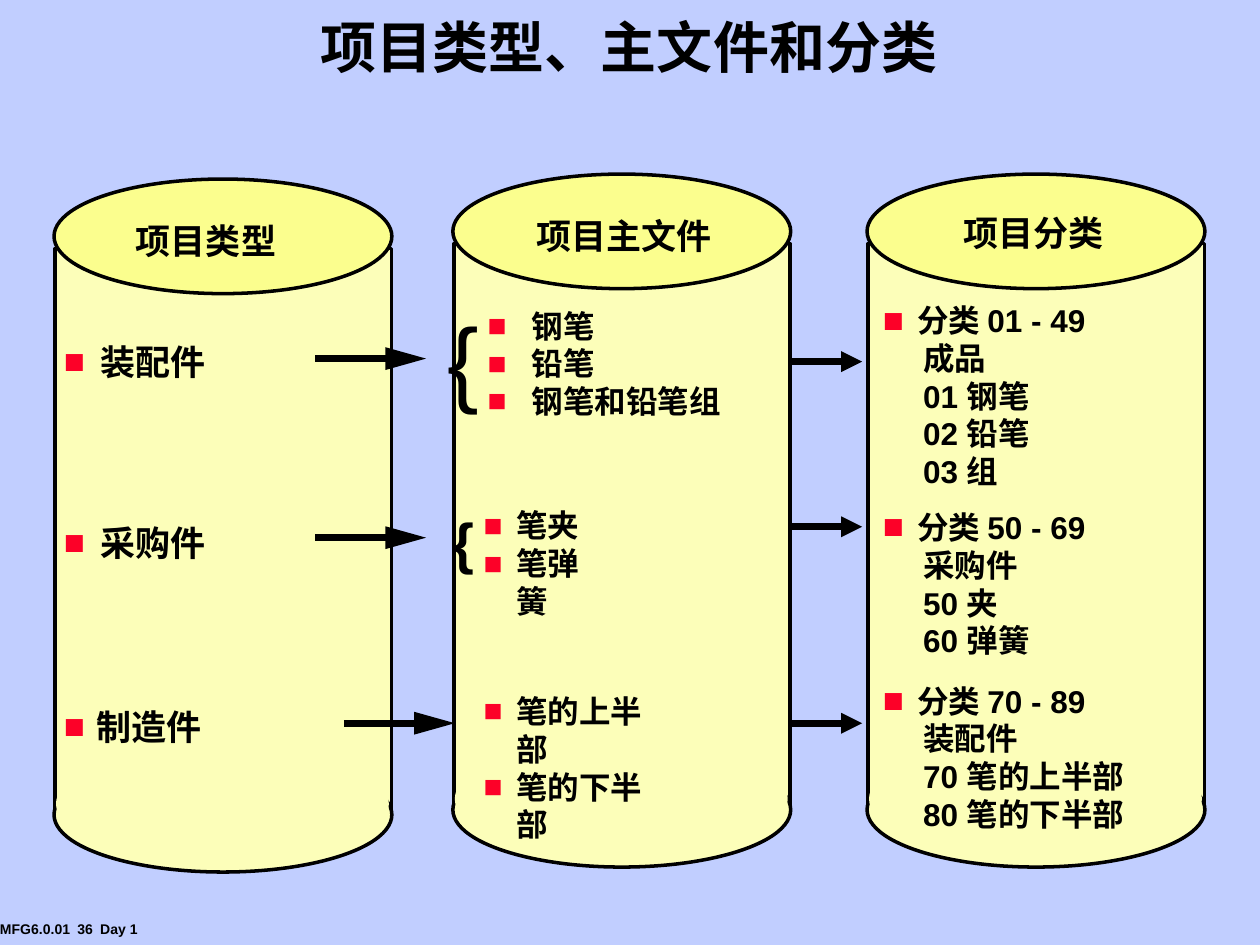
from lxml import etree
from pptx import Presentation
from pptx.dml.color import RGBColor
from pptx.enum import shapes, text
from pptx.oxml import ns
from pptx.util import Cm, Pt

BACKGROUND = RGBColor(0xC1, 0xCE, 0xFF)
BODY = RGBColor(0xFC, 0xFE, 0xB9)
LID = RGBColor(0xFB, 0xFE, 0x8E)
RED = RGBColor(0xFC, 0x01, 0x28)
BLACK = RGBColor(0, 0, 0)

deck = Presentation()
deck.slide_width, deck.slide_height = Cm(25.4), Cm(19.05)
page = deck.slides.add_slide(deck.slide_layouts[6])
page.background.fill.solid()
page.background.fill.fore_color.rgb = BACKGROUND


def add_text(content, left, top, width, height, *, size=18, bold=True,
             align=text.PP_ALIGN.LEFT, anchor=text.MSO_ANCHOR.TOP, spacing=None,
             inset=0.25, bullets=0, bullet_size=100, indent=0, rest_indent=0, tabs=()):
    """Give each line a paragraph; the first `bullets` lines get a red square."""
    box = page.shapes.add_textbox(Cm(left), Cm(top), Cm(width), Cm(height))
    frame = box.text_frame
    frame.word_wrap = True
    frame.vertical_anchor = anchor
    frame.margin_left = frame.margin_right = Cm(inset)
    frame.margin_top = frame.margin_bottom = Cm(0.13)
    for number, line in enumerate(content.split("\n")):
        para = frame.add_paragraph() if number else frame.paragraphs[0]
        para.alignment = align
        if spacing:
            para.line_spacing = spacing
        props = para._p.get_or_add_pPr()
        if number < bullets:
            props.set("marL", str(Cm(indent)))
            props.set("indent", str(-Cm(indent)))
            color = etree.SubElement(props, ns.qn("a:buClr"))
            etree.SubElement(color, ns.qn("a:srgbClr"), val=str(RED))
            etree.SubElement(props, ns.qn("a:buSzPct"), val=str(bullet_size * 1000))
            etree.SubElement(props, ns.qn("a:buFont"), typeface="Arial")
            etree.SubElement(props, ns.qn("a:buChar"), char="■")
        elif rest_indent:
            props.set("marL", str(Cm(rest_indent)))
            props.set("indent", "0")
        if tabs:
            stops = etree.SubElement(props, ns.qn("a:tabLst"))
            for stop in tabs:
                etree.SubElement(stops, ns.qn("a:tab"), pos=str(Cm(stop)), algn="l")
        span = para.add_run()
        span.text = line
        span.font.name = "Arial"
        span.font.size = Pt(size)
        span.font.bold = bold
        span.font.color.rgb = BLACK


def add_line(left, right, y):
    line = page.shapes.add_connector(shapes.MSO_CONNECTOR.STRAIGHT,
                                     Cm(left), Cm(y), Cm(right), Cm(y))
    line.line.color.rgb = BLACK
    line.line.width = Pt(4)
    etree.SubElement(line._element.spPr, ns.qn("a:effectLst"))
    return line


add_text("MFG6.0.01\t36\tDay 1", 0, 18.42, 3.6, 0.58, size=8, inset=0, tabs=(1.56, 2.02))
add_text("项目类型、主文件和分类", 0, 0.15, 25.37, 1.73, size=32, spacing=0.9,
         align=text.PP_ALIGN.CENTER, anchor=text.MSO_ANCHOR.MIDDLE)

# Arrows from the master file to the categories start behind the cylinder
for y in (7.29, 10.62, 14.58):
    arrow = add_line(15.42, 17.38, y)
    etree.SubElement(arrow.line._get_or_add_ln(), ns.qn("a:tailEnd"), type="triangle")

# Cylinders: left, top, heading, heading left, heading top
cylinders = [
    (17.48, 3.51, "项目分类", 19.18, 4.14),
    (9.13, 3.51, "项目主文件", 10.57, 4.19),
    (1.09, 3.61, "项目类型", 2.49, 4.29),
]
RECTANGLE, OVAL = shapes.MSO_SHAPE.RECTANGLE, shapes.MSO_SHAPE.OVAL
# Parts: shape, offset right, offset down, width, height, fill, outlined
parts = [
    (RECTANGLE, 0.02, 1.4, 6.78, 11.48, BODY, True),
    (OVAL, 0, 0, 6.81, 2.31, LID, True),
    (OVAL, 0, 11.66, 6.81, 2.31, BODY, True),
    (OVAL, 0.04, 11.4, 6.71, 2.39, BODY, False),
]
for left, top, heading, heading_left, heading_top in cylinders:
    for kind, right, down, width, height, fill, outlined in parts:
        part = page.shapes.add_shape(kind, Cm(left + right), Cm(top + down),
                                     Cm(width), Cm(height))
        part.shadow.inherit = False
        part.fill.solid()
        part.fill.fore_color.rgb = fill
        if outlined:
            part.line.color.rgb = BLACK
            part.line.width = Pt(2)
        else:
            part.line.fill.background()
    add_text(heading, heading_left, heading_top, 4.2, 1.09, size=20)

categories = [
    (5.94, "分类 01 - 49\n成品\n01 钢笔\n02 铅笔\n03 组"),
    (10.11, "分类 50 - 69\n采购件\n50 夹\n60 弹簧"),
    (13.61, "分类 70 - 89\n装配件\n70 笔的上半部\n80 笔的下半部"),
]
for top, lines in categories:
    add_text(lines, 17.55, top, 5.6, 0.25 + 0.77 * len(lines.split("\n")),
             bullets=1, bullet_size=111, indent=0.69, rest_indent=0.81)

# Master file items: left, top, width, height, indent, lines
masters = [
    (9.58, 6.05, 5.2, 2.55, 0.89, "钢笔\n铅笔\n钢笔和铅笔组"),
    (9.5, 10.08, 2.9, 2.55, 0.66, "笔夹\n笔弹簧"),
    (9.5, 13.82, 4.1, 3.3, 0.66, "笔的上半部\n笔的下半部"),
]
for left, top, width, height, indent, lines in masters:
    add_text(lines, left, top, width, height, bullets=3, indent=indent)

for top, height, size, bold in ((5.94, 2.54, 54, False), (10.11, 1.6, 32, True)):
    add_text("{", 8.51, top, 1.65, height, size=size, bold=bold,
             align=text.PP_ALIGN.CENTER)

# Item types: label, top, indent, arrow left, arrow height
types = [
    ("装配件", 6.73, 0.74, 6.35, 7.23),
    ("采购件", 10.39, 0.74, 6.35, 10.84),
    ("制造件", 14.1, 0.66, 6.93, 14.58),
]
for label, top, indent, arrow_left, y in types:
    add_text(label, 1.04, top, 3.9, 1.09, size=20, bullets=1, indent=indent)
    add_line(arrow_left, arrow_left + 1.78, y)
    base, tip = Cm(arrow_left + 1.42), Cm(arrow_left + 2.24)
    builder = page.shapes.build_freeform(tip, Cm(y))
    builder.add_line_segments([(base, Cm(y - 0.23)), (base, Cm(y + 0.23))])
    head = builder.convert_to_shape()
    head.shadow.inherit = False
    head.fill.solid()
    head.fill.fore_color.rgb = BLACK
    head.line.fill.background()

deck.save("out.pptx")
